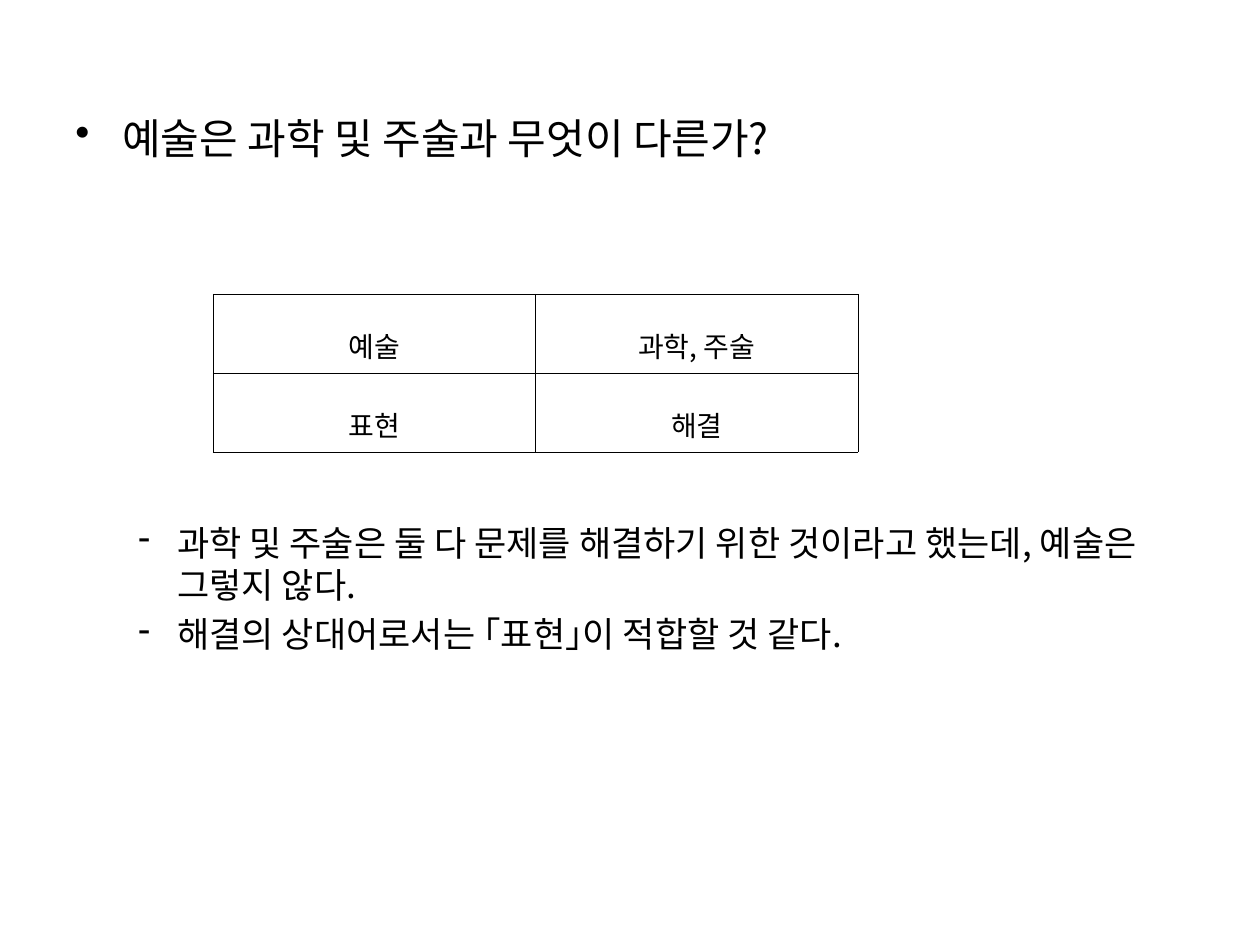
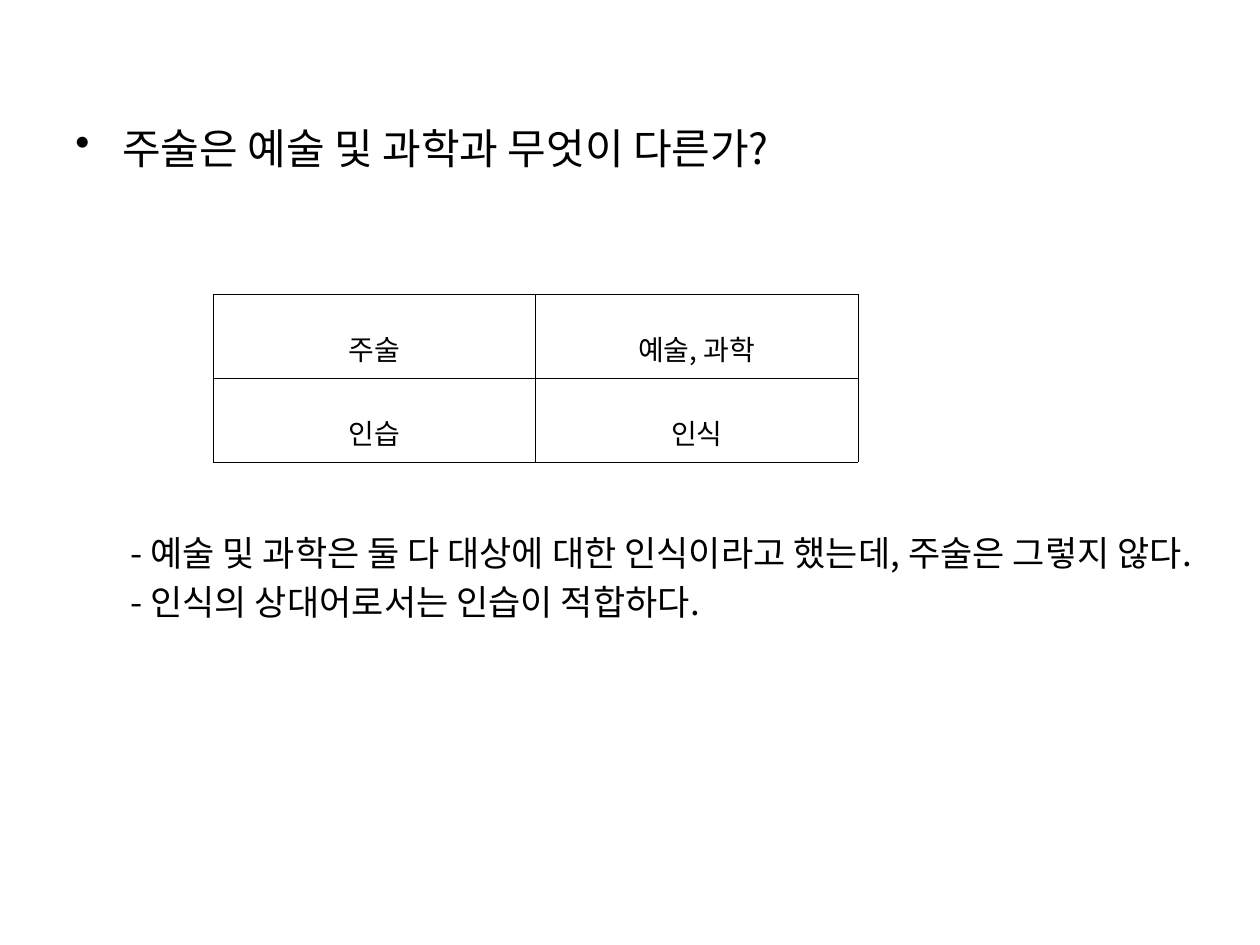
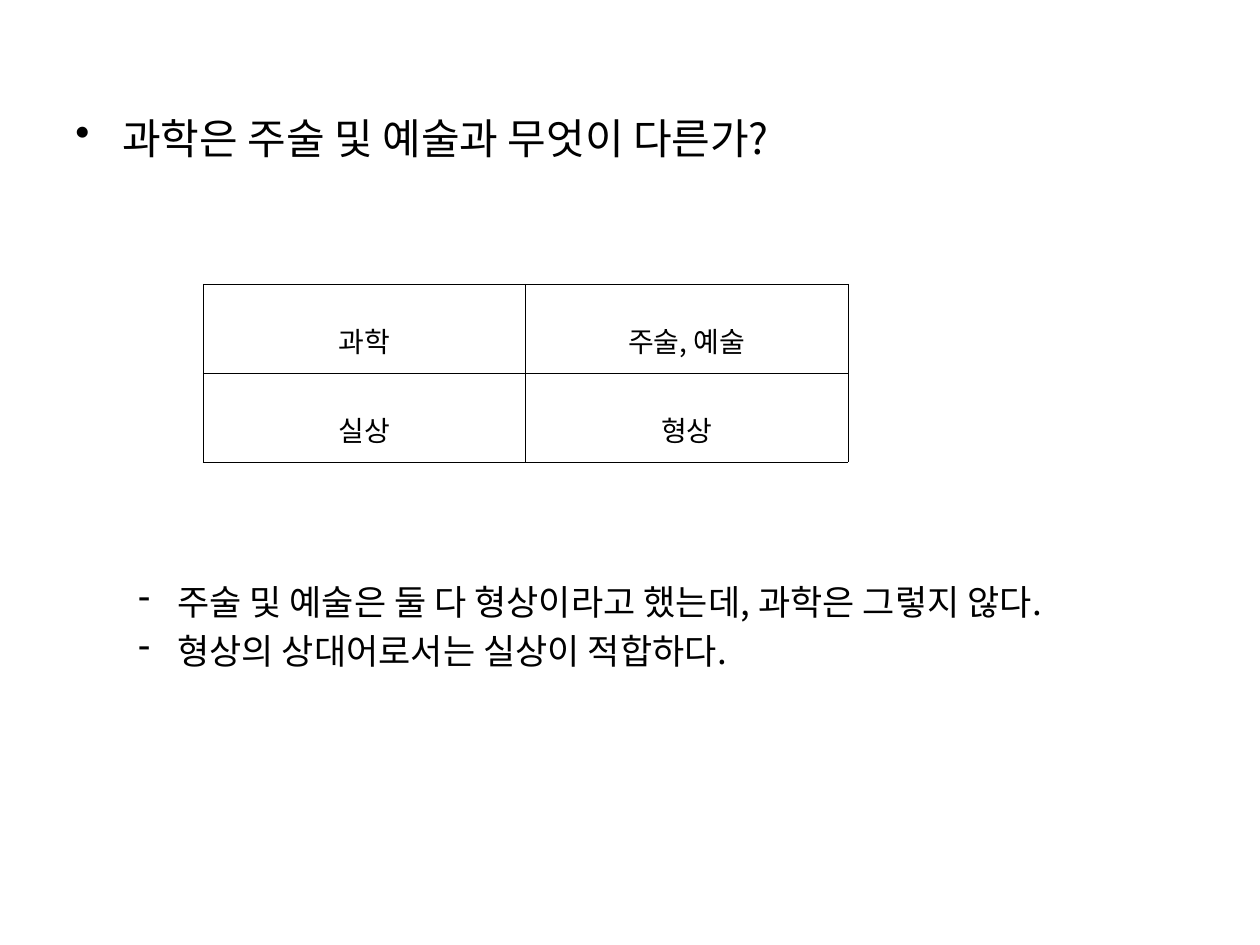
from lxml import etree
from pptx import Presentation
from pptx import util as u
from pptx.dml.color import RGBColor
from pptx.enum import text
from pptx.oxml.ns import qn

SCALE = 914400 / 126
FONT = "Noto Sans CJK KR"
COLORS = {"ink": "000000"}
SIZES = {"question": 24, "note": 20, "cell": 16}
EMPTY_LINE = 59
PADDING = 3


def px(length):
    return u.Emu(round(length * SCALE))


def add_span(para, words, size):
    span = para.add_run()
    span.text = words
    span.font.size = u.Pt(size)
    span.font.name = FONT
    span.font.color.rgb = RGBColor.from_string(COLORS["ink"])
    return span


def style_para(para, left, hanging, before, bullet):
    para.line_spacing = 1.0
    para.space_before = px(before)
    props = para._p.get_or_add_pPr()
    props.set("marL", str(px(left)))
    props.set("indent", str(px(-hanging)))
    if bullet:
        etree.SubElement(props, qn("a:buChar")).set("char", bullet)
    else:
        etree.SubElement(props, qn("a:buNone"))


def add_body(page, box, question, notes, empty_lines, dashed):
    frame = page.shapes.add_textbox(*map(px, box)).text_frame
    frame.word_wrap = True
    para = frame.paragraphs[0]
    style_para(para, 47, 47, 8, "•")
    add_span(para, question, SIZES["question"])
    left, hanging, bullet = (102, 39, "-") if dashed else (55, 0, None)
    for index, note in enumerate(notes):
        para = frame.add_paragraph()
        before = 7 if index else empty_lines * EMPTY_LINE + 5
        style_para(para, left, hanging, before, bullet)
        add_span(para, note, SIZES["note"])


def draw_borders(cell):
    props = cell._tc.get_or_add_tcPr()
    for position, side in enumerate(("lnL", "lnR", "lnT", "lnB")):
        line = etree.Element(qn("a:" + side), w=str(u.Pt(0.28)))
        fill = etree.SubElement(line, qn("a:solidFill"))
        etree.SubElement(fill, qn("a:srgbClr")).set("val", COLORS["ink"])
        props.insert(position, line)


def add_contrast(page, box, rows):
    left, top, width, height = box
    table = page.shapes.add_table(len(rows), len(rows[0]), *map(px, box)).table
    table.first_row = table.horz_banding = False
    for column in table.columns:
        column.width = px(width / len(rows[0]))
    for row, entries in zip(table.rows, rows):
        row.height = px(height / len(rows))
        for cell, words in zip(row.cells, entries):
            cell.fill.background()
            cell.vertical_anchor = text.MSO_ANCHOR.MIDDLE
            cell.margin_left = cell.margin_right = px(PADDING)
            cell.margin_top = cell.margin_bottom = px(PADDING)
            para = cell.text_frame.paragraphs[0]
            para.alignment = text.PP_ALIGN.CENTER
            para.line_spacing = 1.6
            span = add_span(para, words, SIZES["cell"])
            etree.SubElement(span.font._element, qn("a:ea")).set("typeface", FONT)
            draw_borders(cell)


def add_comparison(deck, body_top, table_box, question, rows, notes,
                   empty_lines=6, dashed=True):
    page = deck.slides.add_slide(deck.slide_layouts[6])
    body_box = (63, body_top, 1134, 844 - body_top)
    add_body(page, body_box, question, notes, empty_lines, dashed)
    add_contrast(page, table_box, rows)


deck = Presentation()
deck.slide_width, deck.slide_height = px(1260), px(945)

add_comparison(
    deck, 106, (213, 294, 645, 158),
    "예술은 과학 및 주술과 무엇이 다른가?",
    [("예술", "과학, 주술"), ("표현", "해결")],
    ["과학 및 주술은 둘 다 문제를 해결하기 위한 것이라고 했는데, 예술은 그렇지 않다.",
     "해결의 상대어로서는 ｢표현｣이 적합할 것 같다."])

add_comparison(
    deck, 116, (213, 294, 645, 168),
    "주술은 예술 및 과학과 무엇이 다른가?",
    [("주술", "예술, 과학"), ("인습", "인식")],
    ["- 예술 및 과학은 둘 다 대상에 대한 인식이라고 했는데, 주술은 그렇지 않다.",
     "- 인식의 상대어로서는 인습이 적합하다."],
    dashed=False)

add_comparison(
    deck, 106, (203, 284, 645, 178),
    "과학은 주술 및 예술과 무엇이 다른가?",
    [("과학", "주술, 예술"), ("실상", "형상")],
    ["주술 및 예술은 둘 다 형상이라고 했는데, 과학은 그렇지 않다.",
     "형상의 상대어로서는 실상이 적합하다."],
    empty_lines=7)

deck.save("out.pptx")
